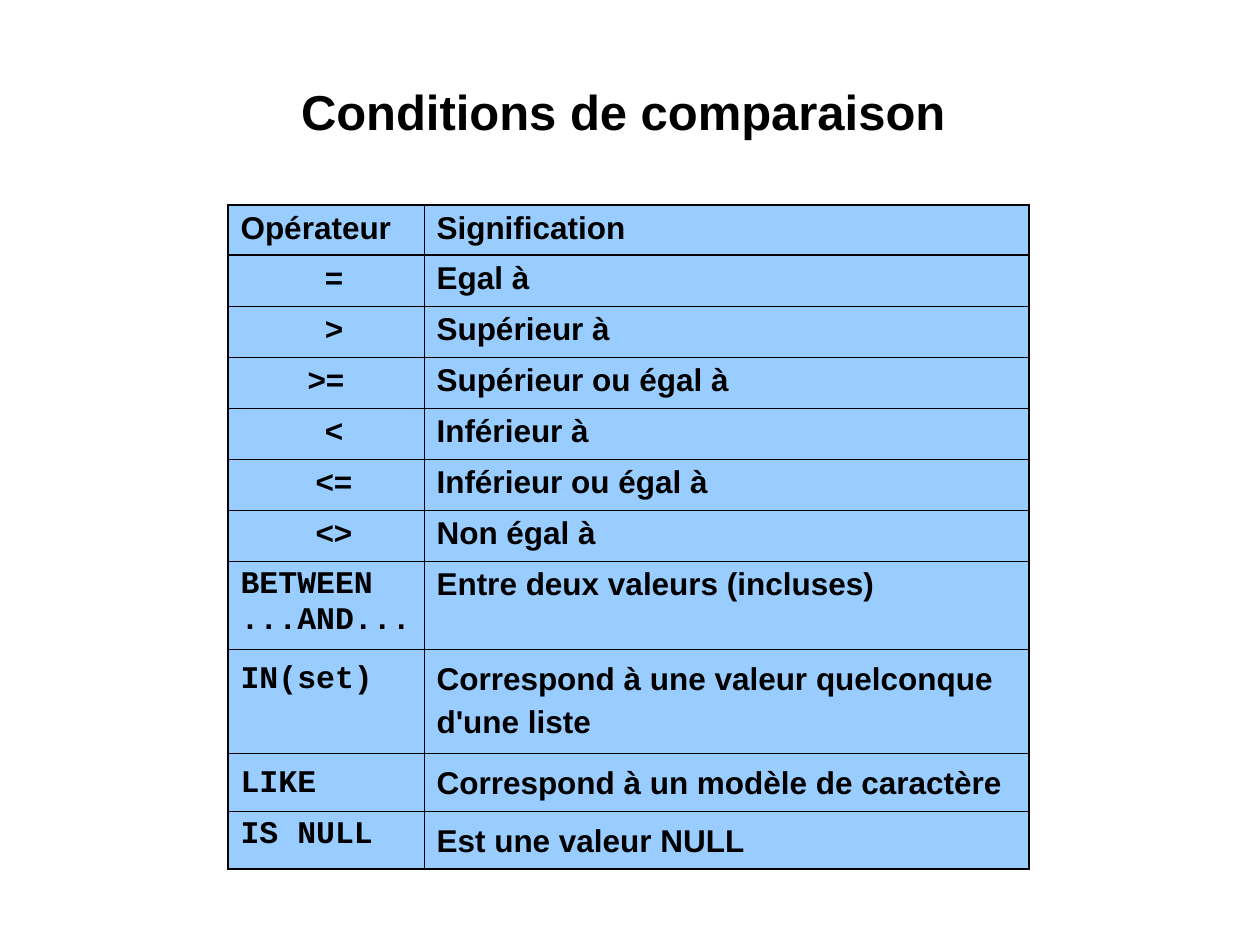
"""Build the slide listing the comparison conditions in a table."""
import pptx
import pptx.dml.color
import pptx.enum.text
import pptx.util
from lxml import etree

PX = 914400 / 126
THIN, THICK = 0.45, 1.08
ALIGN = pptx.enum.text.PP_ALIGN


def px(n):
    return pptx.util.Emu(round(n * PX))


def rgb(value):
    return pptx.dml.color.RGBColor.from_string(value)


prs = pptx.Presentation()
prs.slide_width, prs.slide_height = px(1260), px(945)
s = prs.slides.add_slide(prs.slide_layouts[5])

title = s.shapes.title
title.left, title.top, title.width, title.height = px(126), px(73), px(1008), px(121)
tf = title.text_frame
tf.word_wrap = True
tf.auto_size = pptx.enum.text.MSO_AUTO_SIZE.NONE
tf.vertical_anchor = pptx.enum.text.MSO_ANCHOR.TOP
tf.margin_left = tf.margin_right = tf.margin_bottom = px(1)
tf.margin_top = px(8)
tf.text = "Conditions de comparaison "
p = tf.paragraphs[0]
p.alignment = ALIGN.CENTER
font = p.runs[0].font
font.name, font.size, font.bold = "Arial", pptx.util.Pt(28), True
font.color.rgb = rgb("000000")

rows = [
    ("Opérateur", "Signification", 50),
    ("=", "Egal à", 51),
    (">", "Supérieur à", 51),
    (">=", "Supérieur ou égal à", 51),
    ("<", "Inférieur à", 51),
    ("<=", "Inférieur ou égal à", 51),
    ("<>", "Non égal à", 51),
    ("BETWEEN\v...AND...", "Entre deux valeurs (incluses)", 88),
    ("IN(set)", "Correspond à une valeur quelconque d'une liste", 104),
    ("LIKE", "Correspond à un modèle de caractère", 58),
    ("IS NULL", "Est une valeur NULL", 58),
]
widths = [196, 605]
last = len(rows) - 1
height = sum(row[2] for row in rows)
frame = s.shapes.add_table(len(rows), 2, px(228), px(205), px(sum(widths)), px(height))
table = frame.table
for col, width in zip(table.columns, widths):
    col.width = px(width)

for i, (operator, meaning, row_height) in enumerate(rows):
    table.rows[i].height = px(row_height)
    for j, text in enumerate((operator, meaning)):
        cell = table.cell(i, j)
        borders = {
            "lnL": THICK if j == 0 else THIN,
            "lnR": THICK if j == 1 else THIN,
            "lnT": THICK if i < 2 else THIN,
            "lnB": THICK if i in (0, last) else THIN,
        }
        tcPr = cell._tc.get_or_add_tcPr()
        for tag, weight in borders.items():
            ln = etree.SubElement(tcPr, pptx.oxml.ns.qn("a:" + tag), w=str(pptx.util.Pt(weight)))
            fill = etree.SubElement(ln, pptx.oxml.ns.qn("a:solidFill"))
            etree.SubElement(fill, pptx.oxml.ns.qn("a:srgbClr"), val="000000")
        cell.fill.solid()
        cell.fill.fore_color.rgb = rgb("99CCFF")

        p = cell.text_frame.paragraphs[0]
        p.text = text
        spacious = i in (8, 9) or (i == last and j == 1)
        p.space_before = pptx.util.Pt(13.5 if spacious else 4.5)
        if spacious:
            p.line_spacing = 1.2
        if j == 0 and 1 <= i <= 6:
            p.alignment = ALIGN.CENTER
            if operator != ">=":
                p.level = 1
                pPr = p._p.get_or_add_pPr()
                pPr.set("marL", str(px(16)))
                pPr.set("indent", "0")
        for r in p.runs:
            r.font.name = "Courier New" if j == 0 and i >= 7 else "Arial"
            r.font.size, r.font.bold = pptx.util.Pt(18), True
            r.font.color.rgb = rgb("000000")

prs.save("out.pptx")
